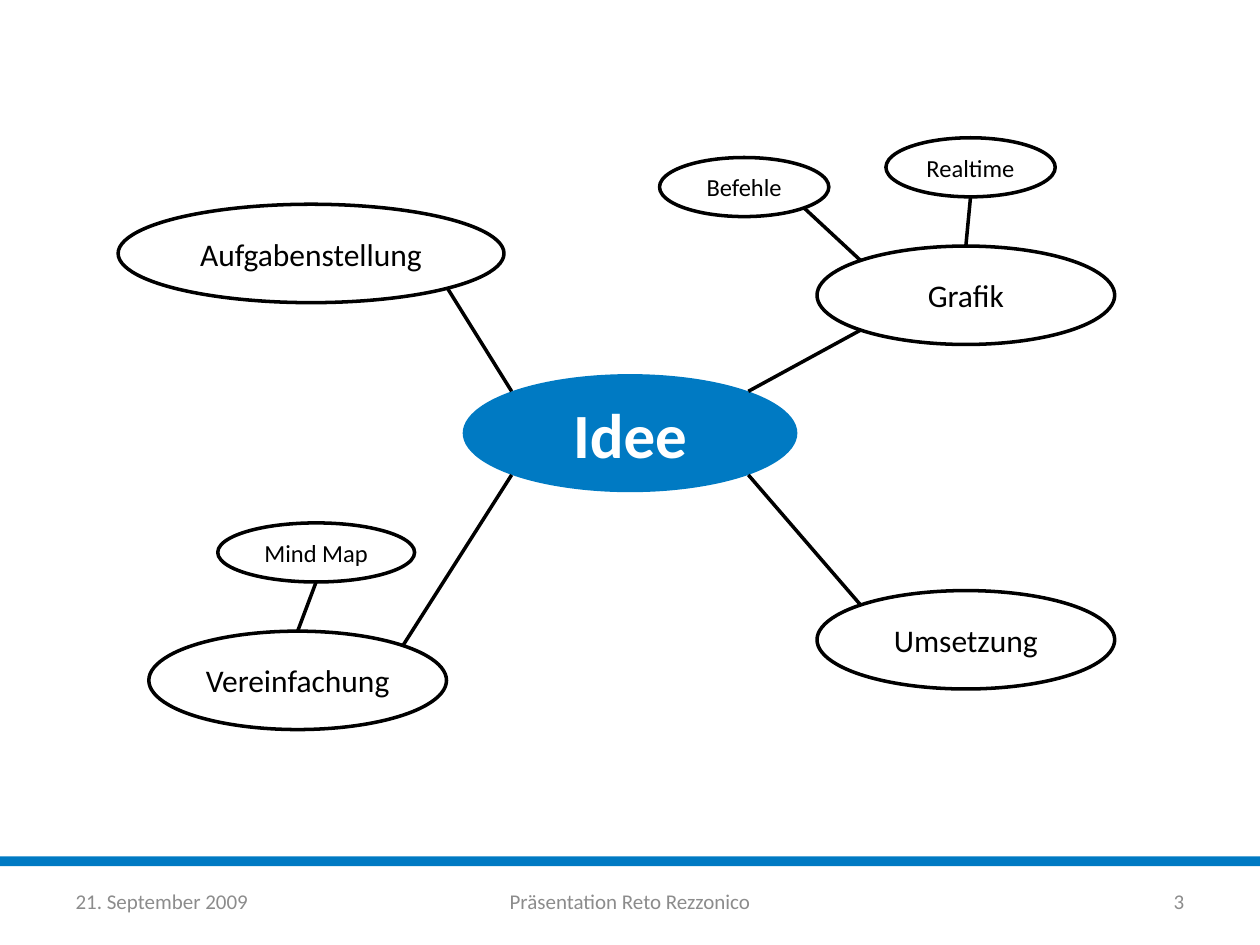
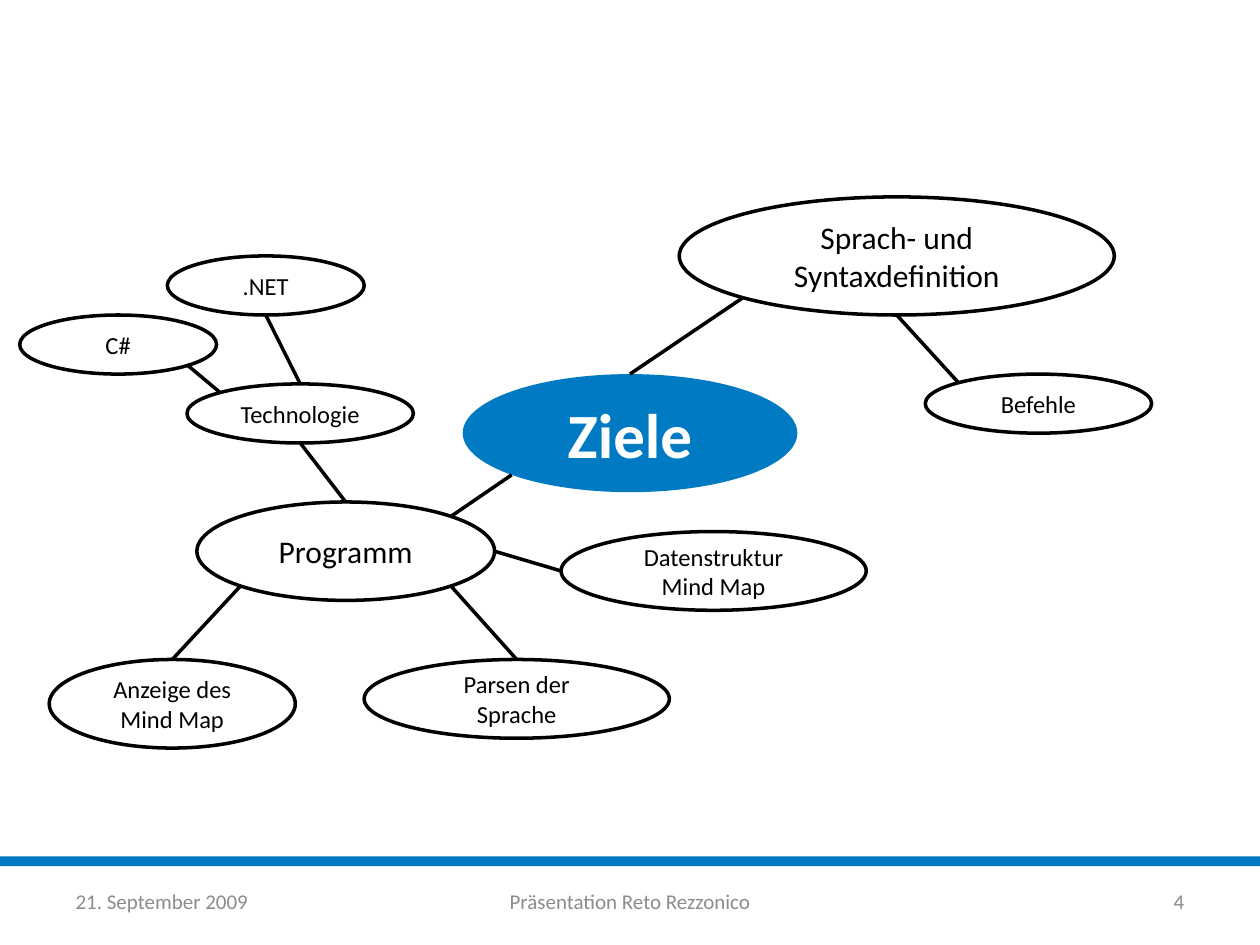
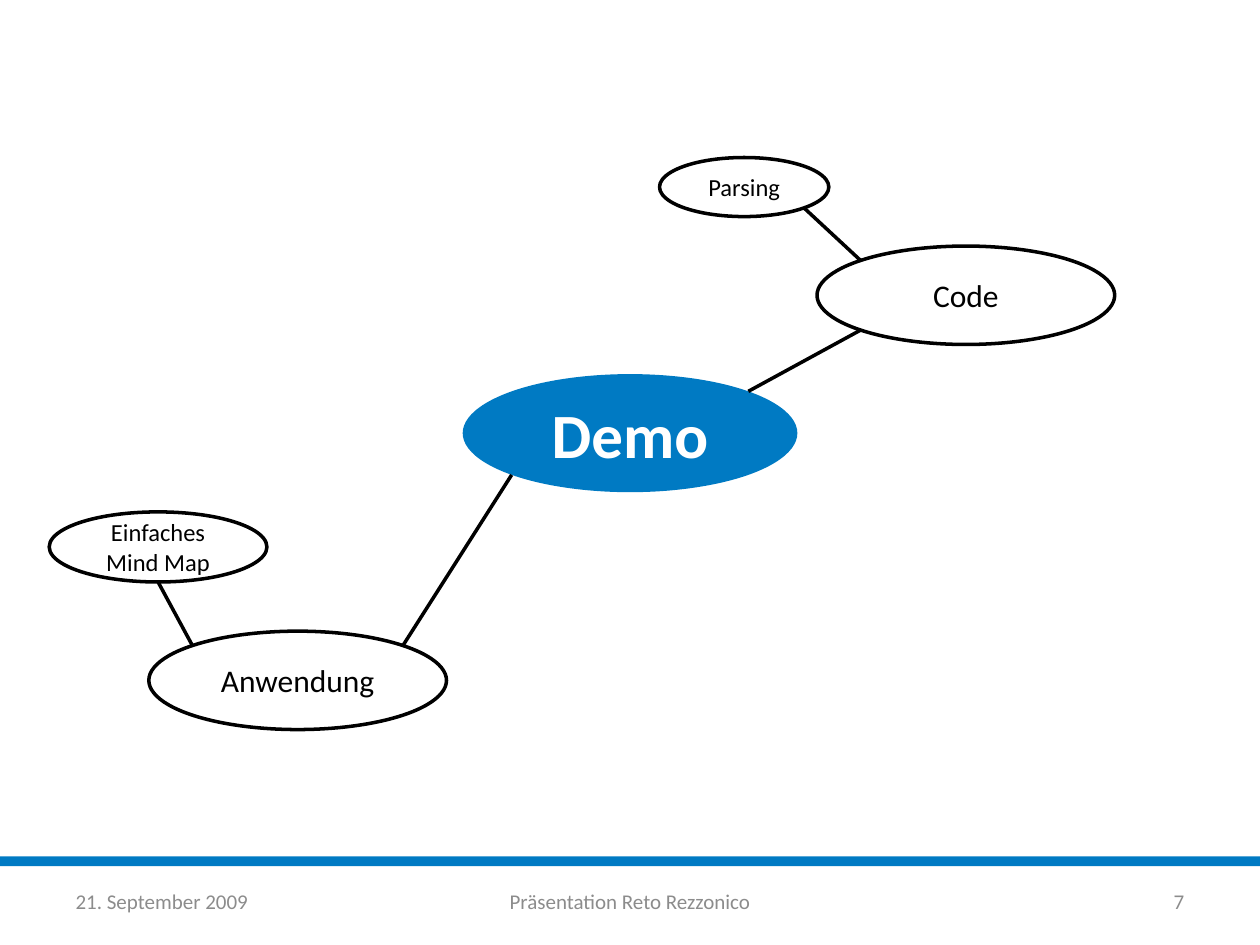
from copy import deepcopy
from dataclasses import dataclass
from math import sqrt

from pptx import Presentation
from pptx.dml.color import RGBColor as Rgb
from pptx.enum.shapes import MSO_CONNECTOR as Link, MSO_SHAPE as Form
from pptx.enum.text import MSO_ANCHOR as Anchor, PP_ALIGN as Align
from pptx.oxml.ns import qn
from pptx.util import Cm, Pt

BLUE = Rgb(0x00, 0x7A, 0xC3)
BLACK = Rgb(0x00, 0x00, 0x00)
WHITE = Rgb(0xFF, 0xFF, 0xFF)
GREY = Rgb(0x8C, 0x8C, 0x8C)
FONT = "Calibri"
GRID = 128
WIDE = 30.24
DIAG = 1 / sqrt(2)
SITES = {
    "N": (0, -1), "S": (0, 1), "W": (-1, 0), "E": (1, 0),
    "NW": (-DIAG, -DIAG), "NE": (DIAG, -DIAG),
    "SW": (-DIAG, DIAG), "SE": (DIAG, DIAG),
}


@dataclass
class Box:
    left: float
    top: float
    width: float
    height: float

    def inner(self, x, y, w, h):
        unit = self.width / GRID
        return Box(self.left + x * unit, self.top + y * unit, w * unit, h * unit)

    def site(self, name):
        dx, dy = SITES[name]
        return (Cm(self.left + self.width * (1 + dx) / 2),
                Cm(self.top + self.height * (1 + dy) / 2))

    def frame(self):
        return Cm(self.left), Cm(self.top), Cm(self.width), Cm(self.height)


@dataclass
class Node:
    text: str
    place: tuple
    near: str
    far: str
    kids: tuple = ()


PAGE = Box(0, 0, 25.4, 19.05)
FOOT = ("21. September 2009", "Präsentation Reto Rezzonico")

MAPS = (
    ("Idee", "3", (
        Node("Grafik", (83, 25, WIDE, 10), "SW", "NE", (
            Node("Befehle", (67, 16, 17.2, 6), "SE", "NW"),
            Node("Realtime", (90, 14, 17.2, 6), "S", "N"))),
        Node("Vereinfachung", (15.12, 64.12, WIDE, 10), "NE", "SW", (
            Node("Mind Map", (22.12, 53.12, 20, 6), "S", "N"),)),
        Node("Umsetzung", (83, 60, WIDE, 10), "NW", "SE"),
        Node("Aufgabenstellung", (12, 20.75, 39.2, 10), "SE", "NW"))),
    ("Ziele", "4", (
        Node("Programm", (20, 51, WIDE, 10), "NE", "SW", (
            Node("Technologie", (19, 39, 23, 6), "S", "N", (
                Node("C#", (2, 32, 20, 6), "SE", "NW"),
                Node(".NET", (17, 26, 20, 6), "S", "N"))),
            Node("Datenstruktur Mind Map", (57, 54, 31, 8), "W", "E"),
            Node("Parsen der Sprache", (37, 67, 31, 8), "N", "SE"),
            Node("Anzeige des\nMind Map", (5, 67, 25, 9), "N", "SW"))),
        Node("Sprach- und Syntaxdefinition", (69, 20, 44.2, 12), "SW", "N", (
            Node("Befehle", (94, 38, 23, 6), "NW", "S"),)))),
    ("Demo", "7", (
        Node("Code", (83, 25, WIDE, 10), "SW", "NE", (
            Node("Parsing", (67, 16, 17.2, 6), "SE", "NW"),)),
        Node("Anwendung", (15.12, 64.12, WIDE, 10), "NE", "SW", (
            Node("Einfaches Mind Map", (5, 52, 22.12, 7.12), "S", "NW"),)))),
)


def write(shape, text, size, color, align=None, bold=None):
    frame = shape.text_frame
    frame.text = text
    frame.word_wrap = True
    frame.vertical_anchor = Anchor.MIDDLE
    for para in frame.paragraphs:
        para.alignment = align
        font = para.font
        font.name, font.size, font.bold = FONT, Pt(size), bold
        font.color.rgb = color


def add_form(shapes, form, box, fill=None):
    shape = shapes.add_shape(form, *box.frame())
    shape.shadow.inherit = False
    if fill is None:
        shape.fill.background()
        shape.line.color.rgb = BLACK
        shape.line.width = Pt(2)
    else:
        shape.fill.solid()
        shape.fill.fore_color.rgb = fill
        shape.line.fill.background()
    return shape


def add_link(shapes, start, end):
    link = shapes.add_connector(Link.STRAIGHT, *start, *end)
    link.line.color.rgb = BLACK
    link.line.width = Pt(2)
    props = link.element.spPr
    props.append(props.makeelement(qn("a:effectLst"), {}))


def add_node(shapes, page, node, root, size):
    box = page.inner(*node.place)
    add_link(shapes, box.site(node.near), root.site(node.far))
    oval = add_form(shapes, Form.OVAL, box)
    write(oval, node.text, size, BLACK, Align.CENTER)
    for kid in node.kids:
        add_node(shapes, page, kid, box, 14)


def add_map(slide, page, title, nodes):
    box = page.inner(47, 38, 34, 12)
    hub = add_form(slide.shapes, Form.OVAL, box, BLUE)
    write(hub, title, 36, WHITE, Align.CENTER, True)
    for node in nodes:
        group = slide.shapes.add_group_shape()
        add_node(group.shapes, page, node, box, 18)


def add_foot(slide, number):
    for holder in slide.slide_layout.placeholders:
        slide.shapes.element.append(deepcopy(holder.element))
    sides = (Align.LEFT, Align.CENTER, Align.RIGHT)
    for holder, text, side in zip(slide.placeholders, (*FOOT, number), sides):
        write(holder, text, 12, GREY, side)


def add_band(slide, page):
    band = add_form(slide.shapes, Form.RECTANGLE, page.inner(0, 87, GRID, 1), BLUE)
    band.element.nvSpPr.cNvPr.set("id", "99")
    slide.slide_layout.slide_master.shapes.element.insert(2, band.element)


deck = Presentation()
deck.slide_width, deck.slide_height = Cm(PAGE.width), Cm(PAGE.height)
blank = deck.slide_layouts.get_by_name("Blank")

for title, number, nodes in MAPS:
    slide = deck.slides.add_slide(blank)
    if len(deck.slides) == 1:
        add_band(slide, PAGE)
    add_foot(slide, number)
    add_map(slide, PAGE, title, nodes)

deck.save("out.pptx")
